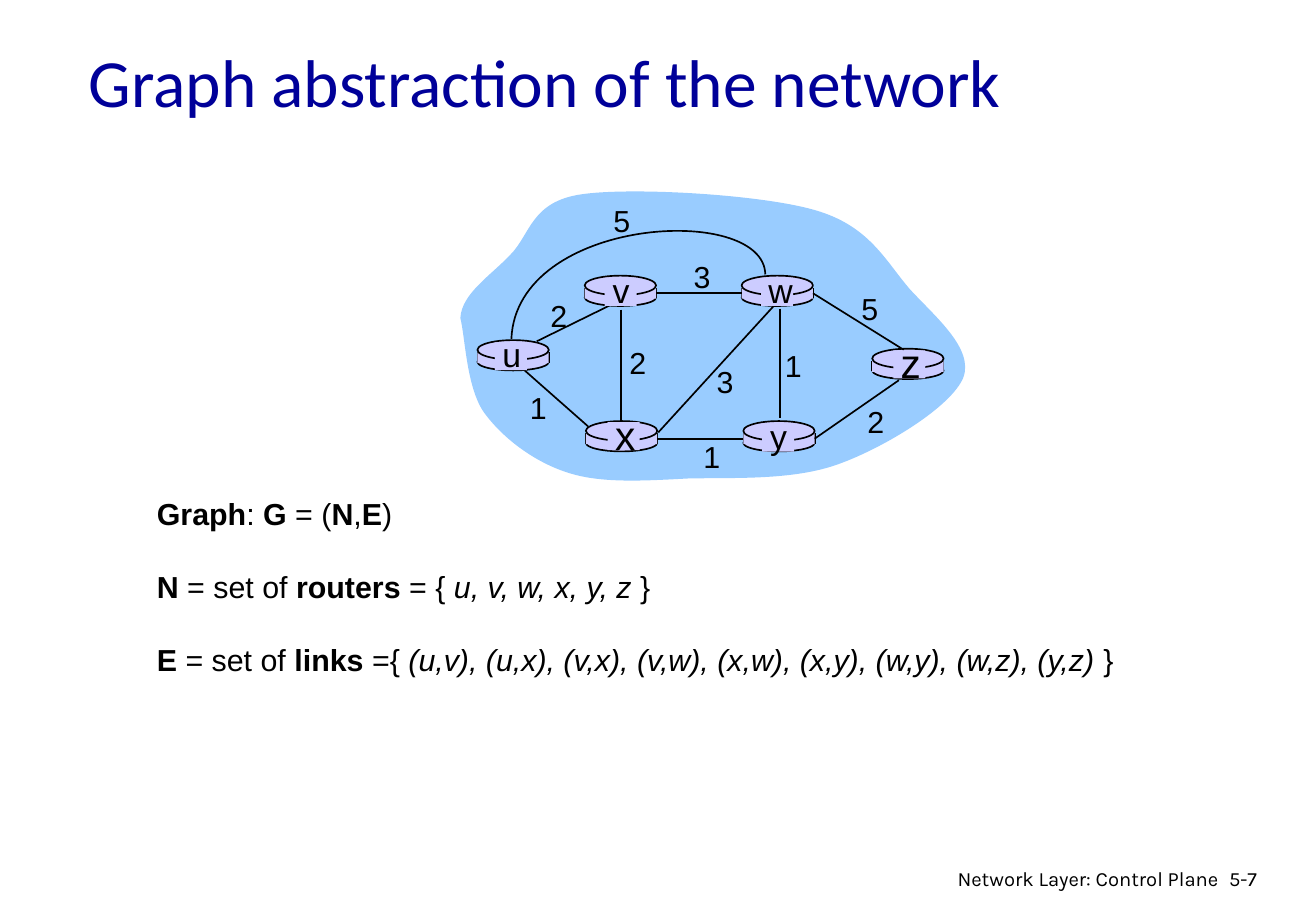
from dataclasses import dataclass
from typing import NamedTuple

from lxml.etree import SubElement
from pptx import Presentation
from pptx.dml.color import RGBColor
from pptx.enum.shapes import MSO_CONNECTOR, MSO_SHAPE
from pptx.enum.text import MSO_ANCHOR, PP_ALIGN
from pptx.oxml.ns import qn
from pptx.util import Pt

BLACK, NAVY, SKY, LILAC = "000000", "000099", "99CCFF", "CCCCFF"
ROUTER_WIDTH = 42.3
LEFT, RIGHT = 1, 3


class Point(NamedTuple):
    """A place on the slide, in points."""
    x: float
    y: float


class Join(NamedTuple):
    """The middle of one side of a router's body."""
    router: str
    side: int


@dataclass
class Router:
    """A network node with its letter."""
    name: str
    corner: Point
    name_center: Point
    name_size: int = 20


@dataclass
class Link:
    """A straight edge of the graph."""
    start: Point | Join
    end: Point | Join


@dataclass
class Cost:
    """The number beside a link."""
    value: str
    center: Point


ROUTERS = [
    Router("u", Point(283, 201.6), Point(302.9, 211.2)),
    Router("x", Point(347.3, 249.6), Point(369.7, 258.5), 24),
    Router("v", Point(346.6, 163.4), Point(367.9, 173)),
    Router("w", Point(439.6, 163.4), Point(460.6, 173)),
    Router("y", Point(440.6, 249.6), Point(461.2, 259.4)),
    Router("z", Point(517, 206.7), Point(539, 216)  , 24),
]
BACK_LINK = Link(Point(318.2, 202.3), Point(365, 179.3))
LINKS = [
    Link(Point(462.2, 182.9), Point(462.2, 247.7)),
    Link(Point(367.9, 183.6), Point(367.9, 250.6)),
    Link(Point(390.2, 256.3), Point(458.6, 181.4)),
    Link(Join("y", RIGHT), Point(532.8, 225.4)),
    Link(Join("y", LEFT), Join("x", RIGHT)),
    Link(Point(348.5, 252.7), Point(311, 219.6)),
    Link(Join("w", LEFT), Join("v", RIGHT)),
    Link(Point(535.7, 207.4), Join("w", RIGHT)),
]
COSTS = [
    Cost("2", Point(331.2, 187.2)), Cost("2", Point(378, 214.6)),
    Cost("1", Point(319, 241.2)), Cost("3", Point(429.8, 226.1)),
    Cost("1", Point(421.9, 270.7)), Cost("1", Point(470.2, 216.7)),
    Cost("2", Point(519.1, 249.8)), Cost("5", Point(515.5, 182.9)),
    Cost("3", Point(416.2, 163.8)), Cost("5", Point(368.6, 130.6)),
]
CLOUD = [Point(*pair) for pair in (
    (272.9, 188.6), (273.6, 174.2), (290.9, 163.4), (302.4, 151.2),
    (314.6, 139), (314.6, 119.5), (344.9, 115.2),
    (374.4, 110.9), (450.7, 115.2), (483.1, 124.6),
    (515.5, 133.9), (524.9, 154.8), (539.3, 171.4),
    (554.4, 187.9), (577.4, 206.6), (571, 223.9),
    (563.8, 241.2), (524.9, 265), (497.5, 275),
    (470.2, 285.1), (434.2, 283), (407.5, 283.7),
    (380.9, 285.1), (355.7, 286.6), (336.2, 280.1),
    (316.1, 273.6), (297.4, 259.2), (286.6, 244.1),
    (276.5, 229), (275.8, 200.2), (272.9, 188.6))]
ARC = [Point(453.6, 162.7), Point(452.9, 120.2), Point(306, 128.2), Point(303.1, 200.9)]
DEFINITIONS = [
    [("Graph", "b"), (": ", ""), ("G", "b"), (" = (", ""), ("N", "b"), (",", ""),
     ("E", "b"), (")", "")],
    [("N", "b"), (" = set of ", ""), ("routers", "b"), (" = { ", ""),
     ("u, v, w, x, y, z ", "i"), ("}", "")],
    [("E", "b"), (" = set of ", ""), ("links", "b"), (" ={ ", ""),
     ("(u,v), (u,x), (v,x), (v,w), (x,w), (x,y), (w,y), (w,z), (y,z) ", "i"), ("}", "")],
]


def color(hex_value: str) -> RGBColor:
    """Turn a hex string into a colour."""
    return RGBColor.from_string(hex_value)


def format_shape(shape, fill: str | None, outlined: bool) -> None:
    """Set fill and outline and drop the shadow."""
    shape.shadow.inherit = False
    if fill:
        shape.fill.solid()
        shape.fill.fore_color.rgb = color(fill)
    else:
        shape.fill.background()
    if outlined:
        shape.line.color.rgb = color(BLACK)
        shape.line.width = Pt(1)
    else:
        shape.line.fill.background()


def format_font(font, name: str, size: float, hex_value: str = BLACK) -> None:
    """Set the typeface, size and colour of a font."""
    font.name, font.size = name, Pt(size)
    font.color.rgb = color(hex_value)


def add_box(slide, kind, left: float, top: float, width: float, height: float, outlined: bool):
    """Add one lilac part of a router."""
    shape = slide.shapes.add_shape(kind, Pt(left), Pt(top), Pt(width), Pt(height))
    format_shape(shape, LILAC, outlined)
    return shape


def add_curve(slide, controls: list[Point], fill: str | None, outlined: bool) -> None:
    """Draw a chain of cubic curves through its control points."""
    units = [(round(x * 100), round(y * 100)) for x, y in controls]
    builder = slide.shapes.build_freeform(*units[0], scale=Pt(1) / 100)
    builder.add_line_segments(units[1:], close=fill is not None)
    shape = builder.convert_to_shape()
    lines = list(shape._element.iter(qn("a:lnTo")))
    for first in range(0, len(lines) - 2, 3):
        curve = lines[first].makeelement(qn("a:cubicBezTo"))
        lines[first].addprevious(curve)
        for line in lines[first:first + 3]:
            curve.append(line[0])
            line.getparent().remove(line)
    format_shape(shape, fill, outlined)


def add_link(slide, link: Link, bodies: dict) -> None:
    """Draw a straight line and join it to router bodies."""
    start, end = (Point(0, 0) if isinstance(place, Join) else place
                  for place in (link.start, link.end))
    connector = slide.shapes.add_connector(
        MSO_CONNECTOR.STRAIGHT, Pt(start.x), Pt(start.y), Pt(end.x), Pt(end.y))
    for place, connect in ((link.start, connector.begin_connect),
                           (link.end, connector.end_connect)):
        if isinstance(place, Join):
            connect(bodies[place.router], place.side)
    connector.line.color.rgb = color(BLACK)
    connector.line.width = Pt(1)
    SubElement(connector._element.spPr, qn("a:effectLst"))


def add_router(slide, router: Router):
    """Draw a router and return its body."""
    left, top = router.corner
    add_box(slide, MSO_SHAPE.OVAL, left, top + 7.9, ROUTER_WIDTH, 10.1, True)
    for x in (left, left + ROUTER_WIDTH):
        add_link(slide, Link(Point(x, top + 7.2), Point(x, top + 13.5)), {})
    body = add_box(slide, MSO_SHAPE.RECTANGLE, left, top + 7.2, ROUTER_WIDTH, 6.5, False)
    add_box(slide, MSO_SHAPE.OVAL, left, top, ROUTER_WIDTH, 11.6, True)
    return body


def add_text(slide, text: str, left: float, top: float, width: float, height: float,
             align=PP_ALIGN.LEFT, name: str = "Arial", size: float = 18,
             anchor=MSO_ANCHOR.TOP, wrap: bool = True) -> None:
    """Add a one-line text box."""
    frame = slide.shapes.add_textbox(Pt(left), Pt(top), Pt(width), Pt(height)).text_frame
    frame.word_wrap, frame.vertical_anchor = wrap, anchor
    frame.text = text
    frame.paragraphs[0].alignment = align
    format_font(frame.paragraphs[0].runs[0].font, name, size)


def add_centered(slide, text: str, x: float, y: float, size: float) -> None:
    """Add a short label around its centre."""
    width, height = 25, size * 1.2 + 7.2
    add_text(slide, text, x - width / 2, y - height / 2, width, height, PP_ALIGN.CENTER,
             size=size, anchor=MSO_ANCHOR.MIDDLE, wrap=False)


def add_definitions(slide) -> None:
    """Write the formal definition of the graph."""
    frame = slide.shapes.add_textbox(Pt(85.9), Pt(290.2), Pt(581.8), Pt(116.6)).text_frame
    frame.word_wrap = False
    for index, pieces in enumerate(DEFINITIONS):
        paragraph = frame.add_paragraph() if index else frame.paragraphs[0]
        paragraph.space_before = Pt(21.5 if index else 0)
        for text, style in pieces:
            run = paragraph.add_run()
            run.text = text
            format_font(run.font, "Arial", 18)
            run.font.bold, run.font.italic = style == "b", style == "i"


def add_title(slide) -> None:
    """Fill and place the title."""
    title = slide.shapes.title
    title.left, title.top, title.width, title.height = Pt(45.4), Pt(16.6), Pt(663), Pt(62.6)
    title.text_frame.text = "Graph abstraction of the network"
    title.text_frame.vertical_anchor = MSO_ANCHOR.MIDDLE
    paragraph = title.text_frame.paragraphs[0]
    paragraph.alignment = PP_ALIGN.LEFT
    format_font(paragraph.runs[0].font, "Calibri", 40, NAVY)


def main() -> None:
    """Build the slide and save it."""
    presentation = Presentation()
    presentation.slide_width, presentation.slide_height = Pt(780), Pt(540)
    slide = presentation.slides.add_slide(presentation.slide_layouts[5])
    add_title(slide)
    add_curve(slide, CLOUD, SKY, False)
    add_link(slide, BACK_LINK, {})
    bodies = {router.name: add_router(slide, router) for router in ROUTERS}
    for link in LINKS:
        add_link(slide, link, bodies)
    add_curve(slide, ARC, None, True)
    for router in ROUTERS:
        x, y = router.name_center
        add_box(slide, MSO_SHAPE.RECTANGLE, x - 9.5, y - 8.3, 19, 16.6, False)
        add_centered(slide, router.name, x + 0.3, y - 1.2, router.name_size)
    for cost in COSTS:
        add_centered(slide, cost.value, *cost.center, 18)
    add_definitions(slide)
    add_text(slide, "5-7", 721.4, 509.8, 46.8, 21.6, name="Karla", size=12)
    add_text(slide, "Network Layer: Control Plane", 543.6, 509.8, 185.8, 18.7,
             PP_ALIGN.RIGHT, "Karla", 12)
    presentation.save("out.pptx")


if __name__ == "__main__":
    main()
